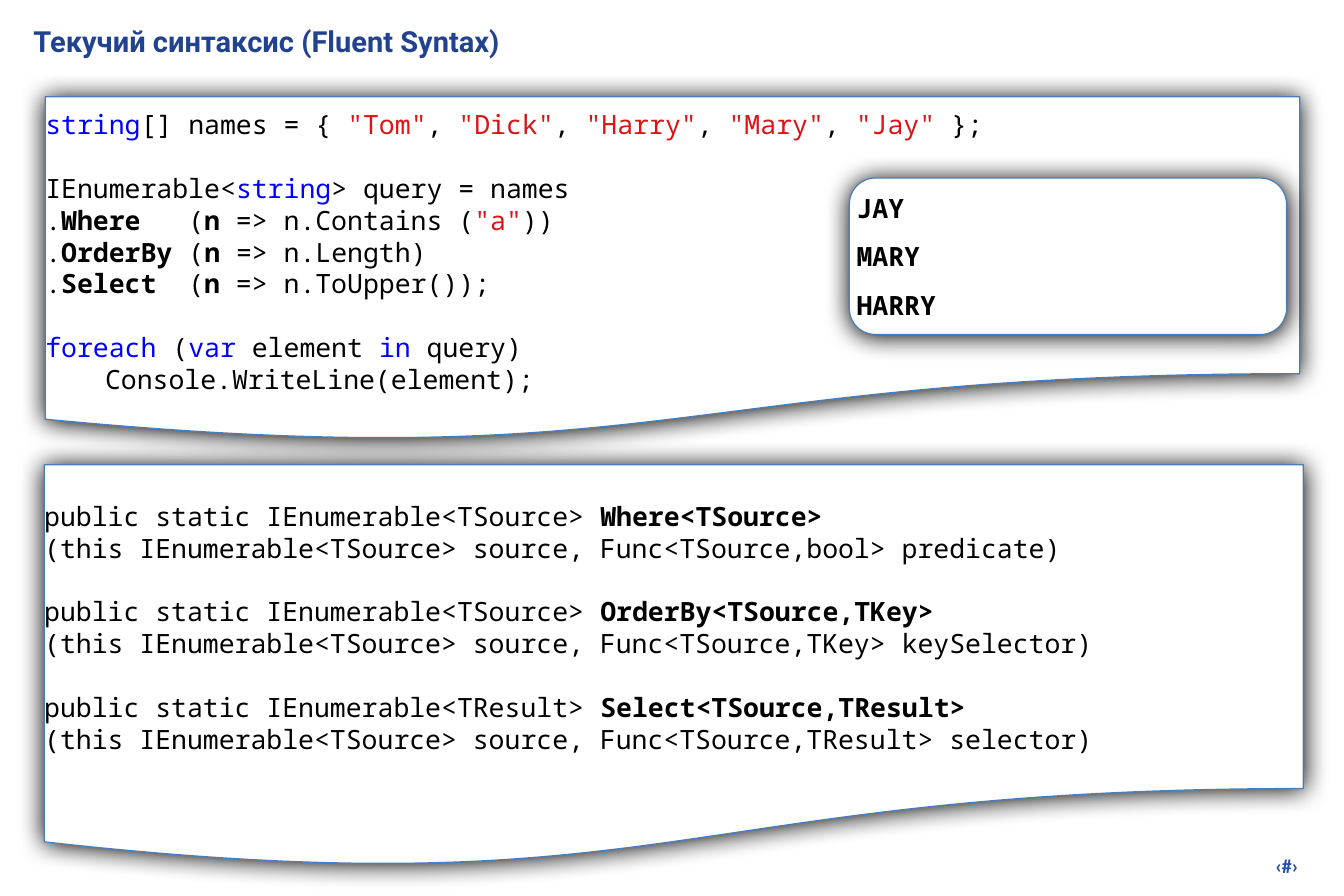
from dataclasses import dataclass

from lxml.etree import SubElement
from pptx import Presentation
from pptx.dml.color import RGBColor
from pptx.enum.shapes import MSO_SHAPE
from pptx.enum.text import MSO_ANCHOR, MSO_AUTO_SIZE, PP_ALIGN
from pptx.oxml.ns import qn
from pptx.util import Inches, Pt


@dataclass(frozen=True)
class Theme:
    title: str = "21438F"
    page: str = "2750AB"
    text: str = "000000"
    key: str = "0000FF"
    quote: str = "DC1414"
    fill: str = "FFFFFF"
    edge: str = "4A7EBB"
    head: float = 17.5
    code: float = 16
    foot: float = 12
    line: float = 19.2
    mono: str = "Noto Sans Mono"


THEME = Theme()


# Marked parts of a code line: text, colour, bold
def key(text):
    return text, THEME.key, False


def quote(text):
    return text, THEME.quote, False


def bold(text):
    return text, THEME.text, True


def write(shape, groups, size=THEME.code, font=THEME.mono, color=THEME.text,
          heavy=False, gap=THEME.line, align=PP_ALIGN.LEFT,
          anchor=MSO_ANCHOR.MIDDLE, inset=0):
    """Fill a shape with groups of lines; a gap parts one group from the next."""
    frame = shape.text_frame
    frame.word_wrap = True
    frame.auto_size = MSO_AUTO_SIZE.NONE
    frame.vertical_anchor = anchor
    frame.margin_left = frame.margin_right = Inches(inset)
    frame.margin_top = frame.margin_bottom = Inches(inset)
    para = None
    for group in groups:
        for row, line in enumerate(group):
            first = para is None
            para = frame.paragraphs[0] if first else frame.add_paragraph()
            para.alignment = align
            para.space_before = Pt(gap if row == 0 and not first else 0)
            for part in line:
                plain = isinstance(part, str)
                text, tint, strong = (part, color, heavy) if plain else part
                run = para.add_run()
                run.text = text
                run.font.size = Pt(size)
                run.font.name = font
                run.font.bold = strong
                run.font.color.rgb = RGBColor.from_string(tint)


def label(slide, box, groups, **form):
    write(slide.shapes.add_textbox(*map(Inches, box)), groups, **form)


def panel(slide, kind, box):
    """Add a white card with a thin edge and a soft dark shadow."""
    card = slide.shapes.add_shape(kind, *map(Inches, box))
    card.fill.solid()
    card.fill.fore_color.rgb = RGBColor.from_string(THEME.fill)
    card.line.color.rgb = RGBColor.from_string(THEME.edge)
    card.line.width = Pt(0.75)
    card.shadow.inherit = False
    glow = SubElement(card._element.spPr.find(qn("a:effectLst")),
                      qn("a:outerShdw"), blurRad=str(Pt(15)),
                      dist=str(Pt(0.7)), dir="5400000", rotWithShape="0")
    SubElement(glow, qn("a:srgbClr"), val=THEME.text)


def sample():
    """Code of the query, in three groups."""
    names = ["Tom", "Dick", "Harry", "Mary", "Jay"]
    array = [key("string"), "[] names = { "]
    for index, name in enumerate(names):
        array += [", "] * (index > 0) + [quote(f'"{name}"')]
    array.append(" };")
    query = [
        ["IEnumerable<", key("string"), "> query = names"],
        [".", bold("Where"), "   (", bold("n"), " => n.Contains (",
         quote('"a"'), "))"],
        [".", bold("OrderBy"), " (", bold("n"), " => n.Length)"],
        [".", bold("Select"), "  (", bold("n"), " => n.ToUpper());"],
    ]
    loop = [
        [key("foreach"), " (", key("var"), " element ", key("in"), " query)"],
        ["\tConsole.WriteLine(element);"],
    ]
    return [[array], query, loop]


def method(result, name, output, argument):
    """Declaration of one query operator, on two lines."""
    return [
        [f"public static IEnumerable<{result}> ", bold(name)],
        [f"(this IEnumerable<TSource> source, Func<TSource,{output}> {argument})"],
    ]


def main():
    deck = Presentation()
    deck.slide_width, deck.slide_height = Inches(11.25), Inches(7.5)
    slide = deck.slides.add_slide(deck.slide_layouts[5])

    # Title
    title = slide.shapes.title
    title.left, title.top = Inches(0.28), Inches(0.2)
    title.width, title.height = Inches(10.74), Inches(0.4)
    write(title, [[["Текучий синтаксис (Fluent Syntax)"]]], size=THEME.head,
          font="Roboto", color=THEME.title, heavy=True, anchor=MSO_ANCHOR.TOP)

    # Query code
    panel(slide, MSO_SHAPE.FLOWCHART_DOCUMENT, (0.38, 0.81, 10.5, 2.89))
    label(slide, (0.38, 0.89, 10.5, 2.43), sample())

    # Query output
    panel(slide, MSO_SHAPE.ROUNDED_RECTANGLE, (7.11, 1.49, 3.66, 1.31))
    label(slide, (7.17, 1.58, 3.53, 1.13),
          [[[name]] for name in ("JAY", "MARY", "HARRY")], heavy=True, gap=10)

    # Operator declarations
    panel(slide, MSO_SHAPE.FLOWCHART_DOCUMENT, (0.37, 3.89, 10.54, 3.38))
    label(slide, (0.37, 4.16, 10.54, 2.18), [
        method("TSource", "Where<TSource>", "bool", "predicate"),
        method("TSource", "OrderBy<TSource,TKey>", "TKey", "keySelector"),
        method("TResult", "Select<TSource,TResult>", "TResult", "selector"),
    ])

    # Page mark
    label(slide, (8.54, 7.1, 2.38, 0.29), [[["‹#›"]]], size=THEME.foot,
          font="Calibri", color=THEME.page, heavy=True, align=PP_ALIGN.RIGHT,
          anchor=MSO_ANCHOR.TOP, inset=0.05)

    deck.save("out.pptx")


if __name__ == "__main__":
    main()
